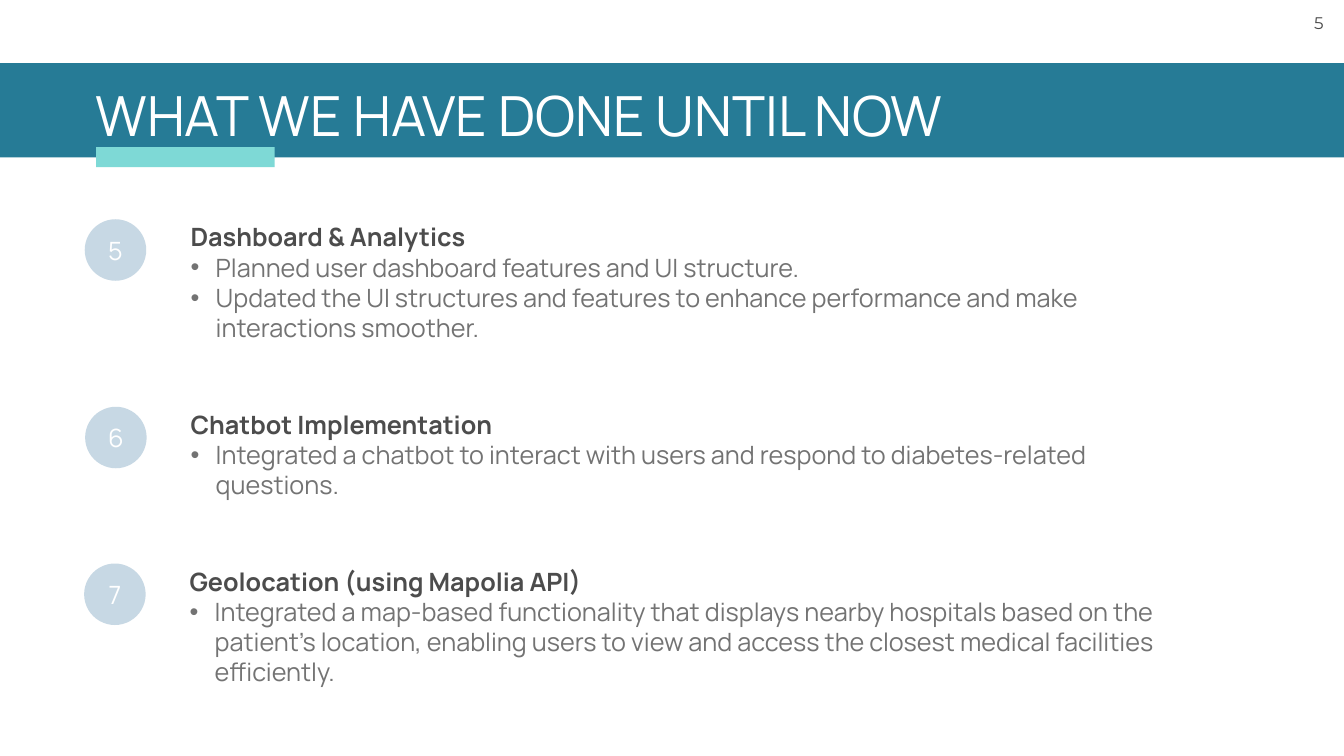
"""Build the progress slide with steps five to seven."""
from lxml import etree
from pptx import Presentation
from pptx.dml.color import RGBColor
from pptx.enum.shapes import MSO_SHAPE
from pptx.enum.text import MSO_ANCHOR, MSO_AUTO_SIZE, PP_ALIGN
from pptx.oxml.ns import qn
from pptx.util import Cm, Pt

RECTANGLE, OVAL = MSO_SHAPE.RECTANGLE, MSO_SHAPE.OVAL
TOP, MIDDLE = MSO_ANCHOR.TOP, MSO_ANCHOR.MIDDLE
LEFT, CENTER = PP_ALIGN.LEFT, PP_ALIGN.CENTER
NO_FIT = MSO_AUTO_SIZE.NONE

THEME = {
    "band": "267B96",
    "accent": "7ED9D6",
    "badge": "C7D8E4",
    "title": {"name": "Manrope", "size": Pt(79), "bold": False, "color": "FFFFFF"},
    "number": {"name": "Manrope", "size": Pt(36), "bold": False, "color": "FFFFFF"},
    "heading": {"name": "Manrope", "size": Pt(36), "bold": True, "color": "4C4C4C"},
    "body": {"name": "Manrope", "size": Pt(36), "bold": False, "color": "737373"},
    "page": {"name": "Montserrat", "size": Pt(24), "bold": False, "color": "494949"},
}

STEPS = [
    ("5", 4.27, 9.35, 11.05, 49.56, 6.4, "Dashboard & Analytics", [
        "Planned user dashboard features and UI structure.",
        "Updated the UI structures and features to enhance performance and make "
        "interactions smoother."]),
    ("6", 4.29, 9.35, 20.5, 49.56, 4.88, "Chatbot Implementation", [
        "Integrated a chatbot to interact with users and respond to "
        "diabetes-related questions."]),
    ("7", 4.24, 9.3, 28.4, 49.99, 6.4, "Geolocation (using Mapolia API)", [
        "Integrated a map-based functionality that displays nearby hospitals based "
        "on the patient’s location, enabling users to view and access the closest "
        "medical facilities efficiently."]),
]
BADGE_SIZE = 3.1
BULLET_INDENT = Cm(1.27)


def write(paragraph, text, role, alignment=LEFT):
    paragraph.alignment = alignment
    run = paragraph.add_run()
    run.text = text
    for attribute, value in THEME[role].items():
        if attribute == "color":
            run.font.color.rgb = RGBColor.from_string(value)
        else:
            setattr(run.font, attribute, value)


def add_filled(shapes, kind, box, color):
    shape = shapes.add_shape(kind, *(Cm(length) for length in box))
    shape.shadow.inherit = False
    shape.fill.solid()
    shape.fill.fore_color.rgb = RGBColor.from_string(THEME[color])
    shape.line.fill.background()
    return shape


deck = Presentation()
deck.slide_width, deck.slide_height = Cm(67.72), Cm(38.1)
slide = deck.slides.add_slide(deck.slide_layouts[5])
shapes = slide.shapes

page = shapes.add_textbox(Cm(65.2), Cm(0.41), Cm(2.52), Cm(1.55))
page.text_frame.margin_top = Cm(0.25)
write(page.text_frame.paragraphs[0], "5", "page", CENTER)

add_filled(shapes, RECTANGLE, (0, 3.18, 67.72, 4.75), "band")
accent = add_filled(shapes, RECTANGLE, (4.85, 7.42, 8.99, 1), "accent")

title = shapes.title
title_box = {"left": Cm(4.55), "top": Cm(3.94), "width": Cm(46.48), "height": Cm(3.63)}
for attribute, value in title_box.items():
    setattr(title, attribute, value)
title_format = {"vertical_anchor": TOP, "auto_size": NO_FIT, "word_wrap": True}
for attribute, value in title_format.items():
    setattr(title.text_frame, attribute, value)
write(title.text_frame.paragraphs[0], "WHAT WE HAVE DONE UNTIL NOW", "title")
accent.element.addnext(title.element)

for number, badge_left, text_left, top, width, height, heading, points in STEPS:
    badge = add_filled(shapes, OVAL, (badge_left, top, BADGE_SIZE, BADGE_SIZE), "badge")
    badge_format = {"vertical_anchor": MIDDLE, "word_wrap": False}
    for attribute, value in badge_format.items():
        setattr(badge.text_frame, attribute, value)
    write(badge.text_frame.paragraphs[0], number, "number", CENTER)

    description = shapes.add_textbox(Cm(text_left), Cm(top), Cm(width), Cm(height)).text_frame
    description.word_wrap = True
    write(description.paragraphs[0], heading, "heading")
    for point in points:
        paragraph = description.add_paragraph()
        write(paragraph, point, "body")
        properties = paragraph._p.get_or_add_pPr()
        properties.set("marL", str(BULLET_INDENT))
        properties.set("indent", str(-BULLET_INDENT))
        etree.SubElement(properties, qn("a:buFont"), typeface="Arial")
        etree.SubElement(properties, qn("a:buChar"), char="•")

deck.save("out.pptx")
